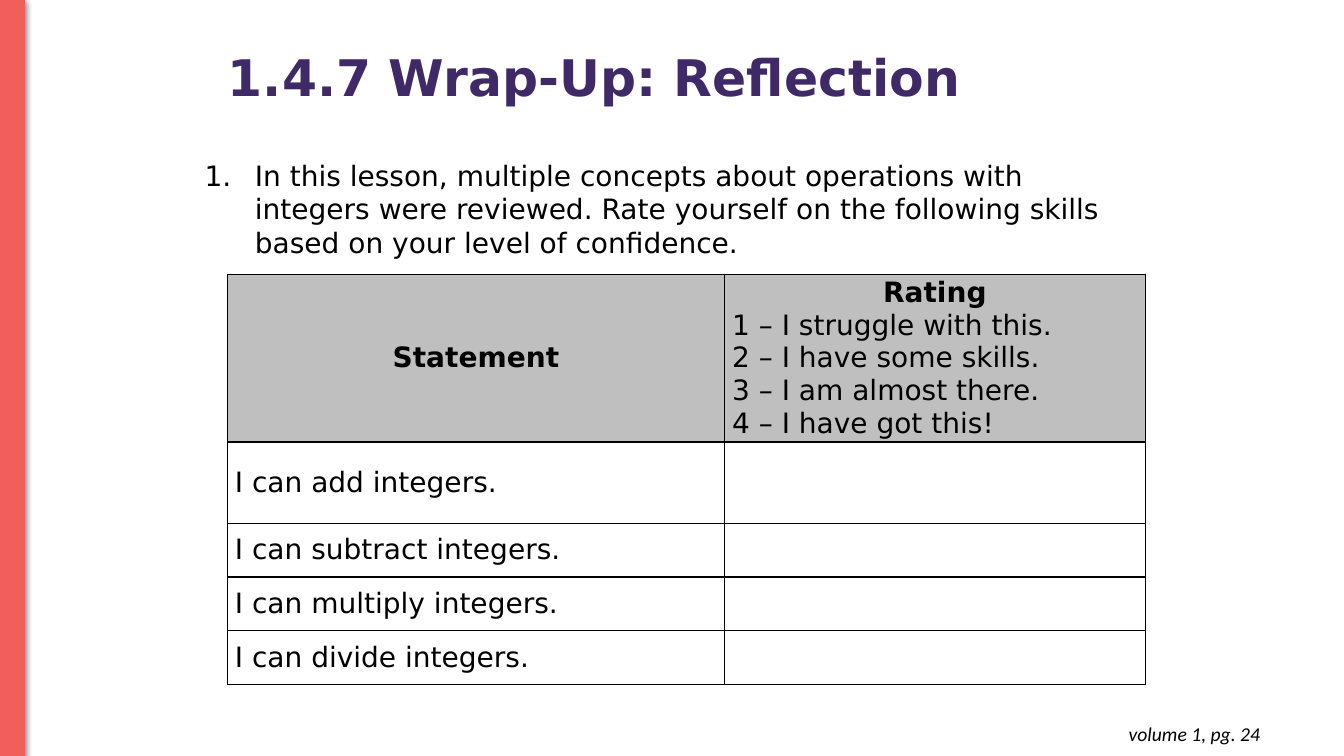
from lxml.etree import SubElement
from pptx import Presentation
from pptx.dml.color import RGBColor
from pptx.enum.shapes import MSO_SHAPE
from pptx.enum.text import MSO_ANCHOR, MSO_AUTO_SIZE, PP_ALIGN
from pptx.oxml import parse_xml
from pptx.oxml.ns import nsdecls, qn
from pptx.util import Cm, Pt

BLACK = RGBColor(0x00, 0x00, 0x00)
PURPLE = RGBColor(0x3F, 0x2A, 0x67)
CORAL = RGBColor(0xF2, 0x5E, 0x5B)
GREY = RGBColor(0xBF, 0xBF, 0xBF)
MAIN_FONT = "DejaVu Sans"

TITLE = "1.4.7 Wrap-Up: Reflection"
QUESTION = (
    "In this lesson, multiple concepts about operations with integers were reviewed. "
    "Rate yourself on the following skills based on your level of confidence."
)
RATINGS = [
    "Rating",
    "1 – I struggle with this.",
    "2 – I have some skills.",
    "3 – I am almost there.",
    "4 – I have got this!",
]
SKILLS = ["add", "subtract", "multiply", "divide"]
COLUMN_WIDTHS = [Cm(12.53), Cm(10.6)]
ROW_HEIGHTS = [Cm(4.23), Cm(2.05)] + [Cm(1.35)] * 3


def style_paragraph(paragraph, size=20, color=BLACK, name=MAIN_FONT,
                    bold=False, italic=False, alignment=PP_ALIGN.LEFT):
    paragraph.alignment = alignment
    font = paragraph.font
    font.name, font.size = name, Pt(size)
    font.bold, font.italic = bold, italic
    font.color.rgb = color


def place(shape, left, top, width, height):
    shape.left, shape.top, shape.width, shape.height = left, top, width, height


def add_side_bar(slide):
    bar = slide.shapes.add_shape(MSO_SHAPE.RECTANGLE, 0, 0, Cm(0.62), Cm(19.08))
    bar.fill.solid()
    bar.fill.fore_color.rgb = CORAL
    bar.line.color.rgb = CORAL
    bar.line.width = Pt(0.75)
    bar.shadow.inherit = False
    effects = bar.element.spPr.find(qn("a:effectLst"))
    effects.append(parse_xml(
        f'<a:outerShdw {nsdecls("a")} blurRad="{Pt(4.5)}" dist="{Pt(1.5)}" dir="5400000">'
        '<a:srgbClr val="000000"><a:alpha val="50000"/></a:srgbClr></a:outerShdw>'
    ))


def fill_title(title):
    place(title, Cm(5.49), Cm(0.18), Cm(24), Cm(3.68))
    frame = title.text_frame
    frame.text = TITLE
    frame.auto_size = MSO_AUTO_SIZE.NONE
    frame.vertical_anchor = MSO_ANCHOR.MIDDLE
    paragraph = frame.paragraphs[0]
    paragraph.line_spacing = 0.9
    style_paragraph(paragraph, size=36, color=PURPLE, bold=True)


def fill_question(body):
    place(body, Cm(4.9), Cm(3.86), Cm(23.14), Cm(2.82))
    frame = body.text_frame
    frame.text = QUESTION
    frame.auto_size = MSO_AUTO_SIZE.NONE
    paragraph = frame.paragraphs[0]
    properties = paragraph._p.get_or_add_pPr()
    properties.set("marL", str(Cm(1.27)))
    properties.set("indent", str(-Cm(1.27)))
    SubElement(properties, qn("a:buFontTx"))
    SubElement(properties, qn("a:buAutoNum"), type="arabicPeriod")
    paragraph.space_before = Pt(0)
    style_paragraph(paragraph)


def add_borders(cell):
    properties = cell._tc.get_or_add_tcPr()
    for side in ("lnL", "lnR", "lnT", "lnB"):
        properties.append(parse_xml(
            f'<a:{side} {nsdecls("a")} w="{Pt(1)}"><a:solidFill>'
            f'<a:srgbClr val="{BLACK}"/></a:solidFill></a:{side}>'
        ))


def fill_cell(cell, lines, is_header):
    add_borders(cell)
    if is_header:
        cell.fill.solid()
        cell.fill.fore_color.rgb = GREY
    else:
        cell.fill.background()
    cell.vertical_anchor = MSO_ANCHOR.MIDDLE
    cell.margin_left = cell.margin_right = Cm(0.19)
    cell.margin_top = cell.margin_bottom = 0
    cell.text = "\n".join(lines)
    for index, paragraph in enumerate(cell.text_frame.paragraphs):
        heading = is_header and index == 0
        style_paragraph(paragraph, bold=heading,
                        alignment=PP_ALIGN.CENTER if heading else PP_ALIGN.LEFT)


def add_rating_table(slide):
    rows = [(["Statement"], RATINGS)]
    rows += [([f"I can {skill} integers."], []) for skill in SKILLS]
    table = slide.shapes.add_table(
        len(rows), len(COLUMN_WIDTHS), Cm(5.73), Cm(6.91),
        sum(COLUMN_WIDTHS), sum(ROW_HEIGHTS),
    ).table
    table.first_row = table.horz_banding = False
    for column, width in zip(table.columns, COLUMN_WIDTHS):
        column.width = width
    for row, height, contents in zip(table.rows, ROW_HEIGHTS, rows):
        row.height = height
        for cell, lines in zip(row.cells, contents):
            fill_cell(cell, lines, is_header=contents is rows[0])


def add_page_reference(slide):
    frame = slide.shapes.add_textbox(Cm(24.69), Cm(17.93), Cm(7.32), Cm(1.12)).text_frame
    frame.word_wrap = True
    frame.margin_top = frame.margin_bottom = Cm(0.25)
    frame.text = "volume 1, pg. 24"
    style_paragraph(frame.paragraphs[0], size=14, name="Calibri",
                    italic=True, alignment=PP_ALIGN.RIGHT)


def main():
    presentation = Presentation()
    presentation.slide_width = Cm(33.87)
    presentation.slide_height = Cm(19.05)
    slide = presentation.slides.add_slide(presentation.slide_layouts[1])
    fill_title(slide.shapes.title)
    fill_question(slide.placeholders[1])
    add_side_bar(slide)
    add_rating_table(slide)
    add_page_reference(slide)
    presentation.save("out.pptx")


if __name__ == "__main__":
    main()
